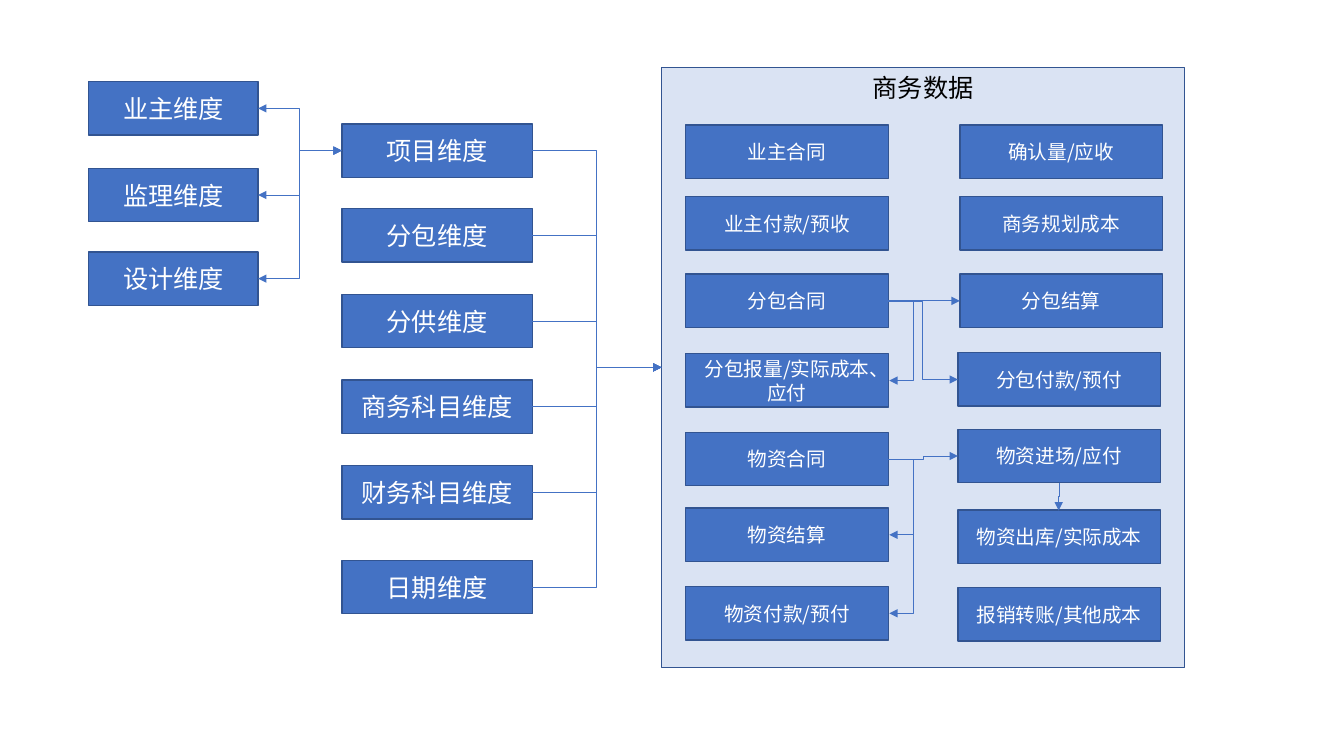
"""Draw the map from dimensions to business data."""
from dataclasses import dataclass

from lxml import etree
from pptx import Presentation
from pptx.dml.color import RGBColor
from pptx.enum import shapes, text
from pptx.oxml.ns import qn
from pptx.util import Inches, Pt

FONT = "Noto Sans CJK SC"
BLUE, EDGE, PALE = "4472C4", "325491", "DAE3F3"
HIGH = 0.53


@dataclass
class Box:
    label: str
    x: float
    y: float
    w: float
    h: float = HIGH
    size: int = 18
    fill: str = BLUE
    ink: str = "FFFFFF"
    anchor: text.MSO_ANCHOR = text.MSO_ANCHOR.MIDDLE

    @property
    def mid(self) -> float:
        return self.y + self.h / 2

    @property
    def right(self) -> float:
        return self.x + self.w


@dataclass
class Wire:
    x0: float
    y0: float
    x1: float
    y1: float
    bend: float
    both: bool = False


def color(code: str) -> RGBColor:
    return RGBColor.from_string(code)


def write(frame, words: str, *, size: int, ink: str, anchor) -> None:
    frame.word_wrap = True
    frame.vertical_anchor = anchor
    para = frame.paragraphs[0]
    para.alignment = text.PP_ALIGN.CENTER
    run = para.add_run()
    run.text = words
    run.font.size = Pt(size)
    run.font.name = FONT
    run.font.color.rgb = color(ink)
    etree.SubElement(run.font._element, qn("a:ea"), typeface=FONT)


def draw_box(slide, box: Box) -> None:
    rect = slide.shapes.add_shape(
        shapes.MSO_SHAPE.RECTANGLE, *map(Inches, (box.x, box.y, box.w, box.h)))
    rect.shadow.inherit = False
    rect.fill.solid()
    rect.fill.fore_color.rgb = color(box.fill)
    rect.line.color.rgb = color(EDGE)
    rect.line.width = Pt(1)
    write(rect.text_frame, box.label, size=box.size, ink=box.ink, anchor=box.anchor)


def draw_wire(slide, wire: Wire, turn: int = 0) -> None:
    link = slide.shapes.add_connector(
        shapes.MSO_CONNECTOR.ELBOW,
        *map(Inches, (wire.x0, wire.y0, wire.x1, wire.y1)))
    link.line.color.rgb = color(BLUE)
    link.line.width = Pt(0.5)
    props = link.element.spPr
    if turn:
        props.find(qn("a:xfrm")).set("rot", str(turn * 60000))
    guides = props.find(qn("a:prstGeom")).find(qn("a:avLst"))
    ratio = round((wire.bend - wire.x0) / (wire.x1 - wire.x0) * 100000)
    etree.SubElement(guides, qn("a:gd"), name="adj1", fmla=f"val {ratio}")
    stroke = props.find(qn("a:ln"))
    for end in ("headEnd", "tailEnd") if wire.both else ("tailEnd",):
        etree.SubElement(stroke, qn(f"a:{end}"), type="triangle")
    etree.SubElement(props, qn("a:effectLst"))


def stack(rows: dict[str, float], x: float, w: float, size: int = 18) -> list[Box]:
    return [Box(label, x, y, w, size=size) for label, y in rows.items()]


parties = stack({"业主维度": 0.81, "监理维度": 1.67, "设计维度": 2.5}, 0.88, 1.68)
dims = stack({"项目维度": 1.23, "分包维度": 2.07, "分供维度": 2.92,
              "商务科目维度": 3.77, "财务科目维度": 4.62, "日期维度": 5.56}, 3.39, 1.89)
panel = Box("商务数据", 6.56, 0.67, 5.19, 5.95, fill=PALE, ink="000000",
            anchor=text.MSO_ANCHOR.TOP)
left = stack({"业主合同": 1.24, "业主付款/预收": 1.95, "分包合同": 2.72,
              "分包报量/实际成本、应付": 3.51, "物资合同": 4.29,
              "物资结算": 5.04, "物资付款/预付": 5.82}, 6.8, 2.01, 14)
right = stack({"确认量/应收": 1.24, "商务规划成本": 1.95, "分包结算": 2.72},
              9.52, 2.01, 14)
right += stack({"分包付款/预付": 3.5, "物资进场/应付": 4.26,
                "物资出库/实际成本": 5.06, "报销转账/其他成本": 5.83}, 9.5, 2.01, 14)
sub, report, goods, settle, pay = left[2:]
final, prepay, entry, issue = right[2:6]

wires = [Wire(box.right, box.mid, dims[0].x, dims[0].mid, 2.97, True) for box in parties]
wires += [Wire(box.right, box.mid, panel.x, panel.mid, 5.92) for box in dims]
wires += [Wire(start.right, start.mid, end.right + 0.01, end.mid, 9.06)
          for start, end in ((sub, report), (goods, settle), (goods, pay))]
wires += [Wire(start.right, start.mid, end.x, end.mid, bend)
          for start, end, bend in ((sub, final, 9.17), (sub, prepay, 9.15),
                                   (goods, entry, 9.16))]

deck = Presentation()
deck.slide_width, deck.slide_height = Inches(13.33), Inches(7.5)
page = deck.slides.add_slide(deck.slide_layouts[6])
for item in [*parties, *dims, panel, *left, *right]:
    draw_box(page, item)
for item in wires:
    draw_wire(page, item)
gap = (entry.y + HIGH + issue.y) / 2
draw_wire(page, Wire(10.37, gap, 10.64, gap + 0.01, 10.5), turn=90)
deck.save("out.pptx")
